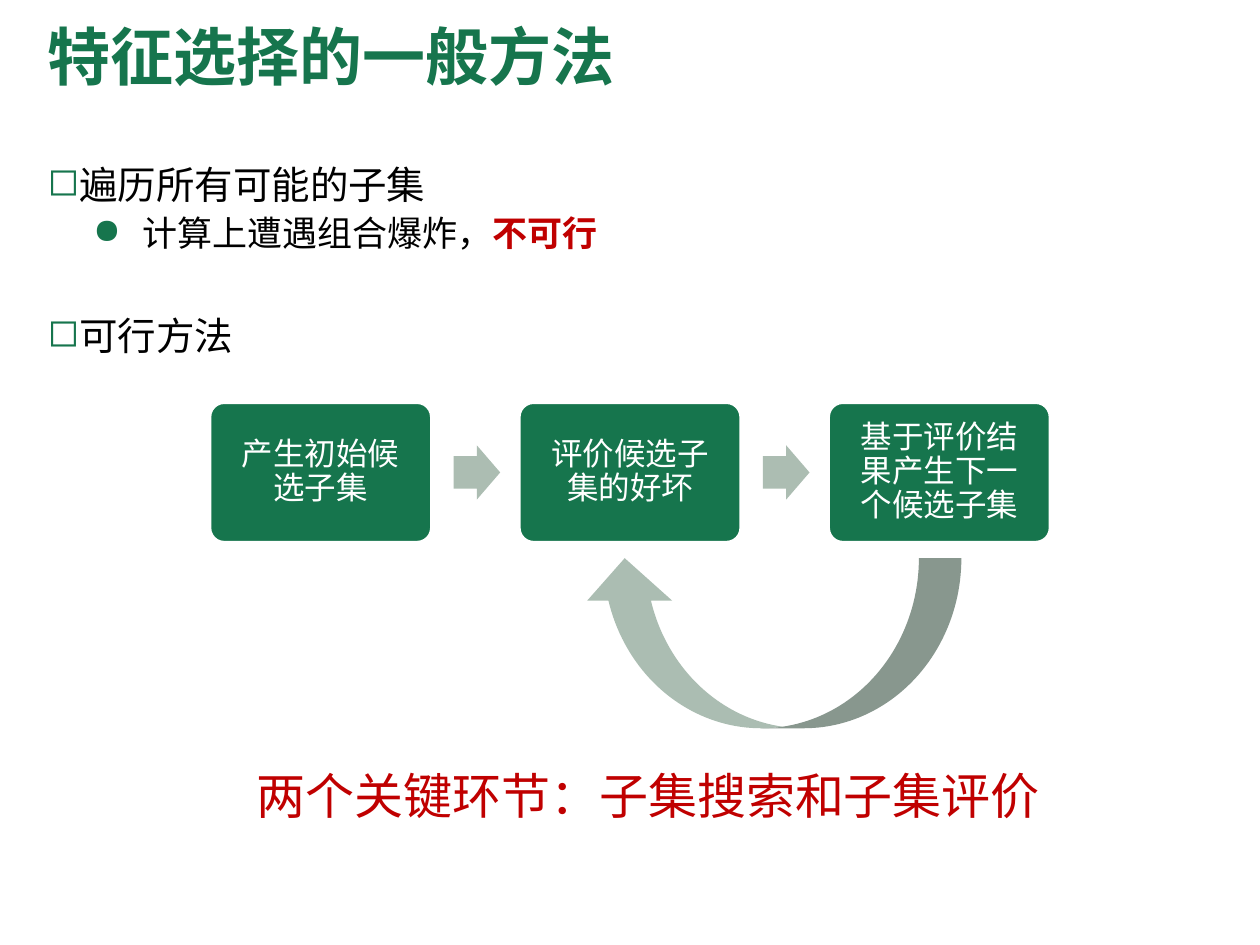
from dataclasses import dataclass
from lxml.etree import SubElement as Sub
from pptx import Presentation as Deck
from pptx.dml.color import RGBColor as Rgb
from pptx.enum.shapes import MSO_SHAPE as Kind
from pptx.enum.text import MSO_ANCHOR as Anchor, PP_ALIGN as Align
from pptx.oxml.ns import qn
from pptx.util import Inches, Pt


@dataclass(frozen=True)
class Theme:
    green: str = "16754D"
    pale: str = "ACBDB2"
    loop: str = "ABBDB2"
    red: str = "C00000"
    black: str = "000000"
    white: str = "FFFFFF"
    sans: str = "DejaVu Sans"
    hans: str = "Noto Sans CJK SC"
    title: int = 36
    close: int = 28
    head: int = 22
    sub: int = 20
    step: int = 18


T = Theme()


def apply(item, form):
    for name, value in form.items():
        setattr(item, name, value)


def place(item, box):
    names = ("left", "top", "width", "height")
    apply(item, dict(zip(names, map(Inches, box))))


def write(par, text, size, color, bold=False, face=T.sans):
    run = par.add_run()
    run.text = text
    apply(run.font, {"size": Pt(size), "bold": bold, "name": face})
    run.font.color.rgb = Rgb.from_string(color)
    Sub(run.font._element, qn("a:ea"), typeface=face)


def space(par, before=0, **form):
    apply(par, {"line_spacing": 0.9, "space_before": Pt(before),
                "space_after": Pt(0), **form})


def bullet(par, mark, left):
    props = par._p.get_or_add_pPr()
    props.set("marL", str(Inches(left)))
    props.set("indent", str(Inches(-0.39)))
    tint = Sub(props, qn("a:buClr"))
    Sub(tint, qn("a:srgbClr"), val=T.green)
    Sub(props, qn("a:buChar"), char=mark)


def shape(slide, kind, box, fill, line=None):
    item = slide.shapes.add_shape(kind, *map(Inches, box))
    item.shadow.inherit = False
    item.fill.solid()
    item.fill.fore_color.rgb = Rgb.from_string(fill)
    if line:
        item.line.color.rgb = Rgb.from_string(line)
        item.line.width = Pt(1)
    else:
        item.line.fill.background()
    return item


def title(slide, box, text):
    item = slide.shapes.title
    place(item, box)
    frame = item.text_frame
    apply(frame, {"vertical_anchor": Anchor.MIDDLE, "word_wrap": True})
    par = frame.paragraphs[0]
    space(par, alignment=Align.LEFT)
    write(par, text, T.title, T.green, True)


def points(slide, box, rows):
    frame = slide.shapes.add_textbox(*map(Inches, box)).text_frame
    frame.word_wrap = True
    for num, (level, gap, runs) in enumerate(rows):
        par = frame.add_paragraph() if num else frame.paragraphs[0]
        mark, left, size = (("◻", 0.25, T.head), ("●", 0.75, T.sub))[level]
        space(par, gap, level=level)
        bullet(par, mark, left)
        for text, color, bold in runs:
            write(par, text, size, color, bold)


def flow(slide, box, steps):
    left, top, width, height = box
    wide = 1.75
    gap = (width - wide * len(steps)) / (len(steps) - 1)
    for num, text in enumerate(steps):
        x = left + num * (wide + gap)
        if num:
            arrow = shape(slide, Kind.RIGHT_ARROW,
                          (x - gap + 0.18, top + (height - 0.43) / 2, 0.37, 0.43),
                          T.pale)
            arrow.adjustments[0] = 0.6
        card = shape(slide, Kind.ROUNDED_RECTANGLE, (x, top, wide, height),
                     T.green, T.white)
        card.adjustments[0] = 0.1
        frame = card.text_frame
        sides = ("left", "top", "right", "bottom")
        apply(frame, {f"margin_{side}": Inches(0.1) for side in sides})
        apply(frame, {"vertical_anchor": Anchor.MIDDLE, "word_wrap": True})
        par = frame.paragraphs[0]
        space(par, alignment=Align.CENTER)
        write(par, text, T.step, T.white)


def loop(slide, box):
    shape(slide, Kind.CURVED_LEFT_ARROW, box, T.loop).rotation = 90


def close(slide, box, text):
    frame = slide.shapes.add_textbox(*map(Inches, box)).text_frame
    frame.word_wrap = True
    write(frame.paragraphs[0], text, T.close, T.red, face=T.hans)


def main():
    deck = Deck()
    apply(deck, {"slide_width": Inches(10), "slide_height": Inches(7.5)})
    slide = deck.slides.add_slide(deck.slide_layouts[5])
    title(slide, (0.28, 0.05, 8.62, 0.85), "特征选择的一般方法")
    points(slide, (0.28, 1.27, 9.42, 5.39), [
        (0, 0, [("遍历所有可能的子集", T.black, False)]),
        (1, 5, [("计算上遭遇组合爆炸，", T.black, False),
                ("不可行", T.red, True)]),
        (0, 36, [("可行方法", T.black, False)]),
    ])
    flow(slide, (1.67, 3.2, 6.66, 1.1), [
        "产生初始候选子集",
        "评价候选子集的好坏",
        "基于评价结果产生下一个候选子集",
    ])
    loop(slide, (5.45, 3.6, 1.35, 3.01))
    close(slide, (1.94, 6.03, 6.6, 0.57), "两个关键环节：子集搜索和子集评价")
    deck.save("out.pptx")


if __name__ == "__main__":
    main()
